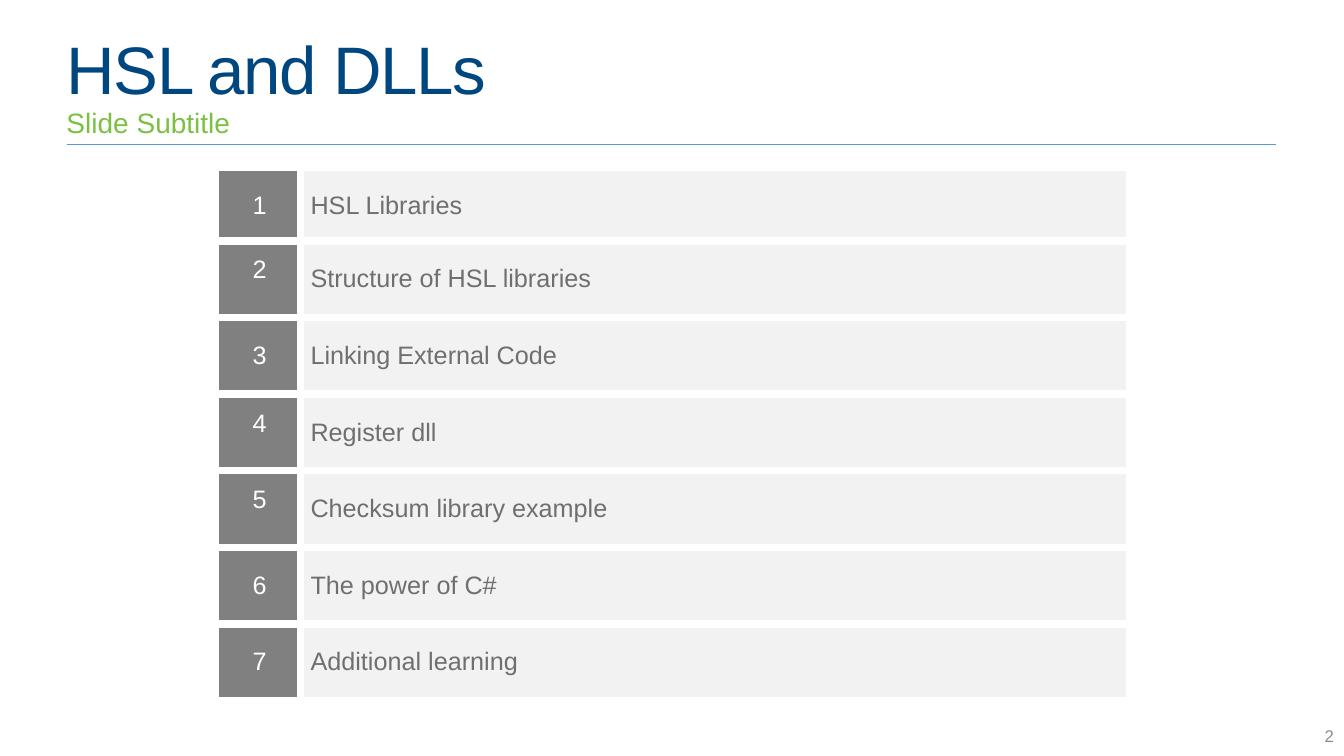
from lxml import etree
from pptx import Presentation
from pptx.dml.color import RGBColor
from pptx.enum import shapes, text
from pptx.oxml import ns
from pptx.util import Inches, Pt

COLORS = {"title": "00467F", "subtitle": "7AC142", "rule": "5B9BD5", "page": "8C8C8C",
          "number_fill": "808080", "topic_fill": "F2F2F2", "number": "FFFFFF",
          "topic": "6F706E", "border": "FFFFFF"}
TOPICS = ["HSL Libraries", "Structure of HSL libraries", "Linking External Code",
          "Register dll", "Checksum library example", "The power of C#",
          "Additional learning"]
RAISED_NUMBERS = {2, 4, 5}
LEFT = 0.66
COLUMNS = (0.81, 8.19)
FIRST_ROW, ROW = 0.7, 0.76
THICK, THIN = 6, 1


def color(name):
    return RGBColor.from_string(COLORS[name])


def style(p, size, name, align=text.PP_ALIGN.LEFT):
    p.alignment = align
    p.font.name = "Arial"
    p.font.size = Pt(size)
    p.font.color.rgb = color(name)


def add_text(slide, box, words, size, name, anchor=text.MSO_ANCHOR.MIDDLE,
             align=text.PP_ALIGN.LEFT, inset=0, line_spacing=None):
    tf = slide.shapes.add_textbox(*map(Inches, box)).text_frame
    tf.word_wrap = True
    tf.vertical_anchor = anchor
    tf.margin_left = Inches(inset)
    p = tf.paragraphs[0]
    p.text = words
    p.line_spacing = line_spacing
    style(p, size, name, align)
    return p


def add_rule(slide, y, width):
    line = slide.shapes.add_connector(shapes.MSO_CONNECTOR.STRAIGHT, Inches(LEFT),
                                      Inches(y), Inches(LEFT + width), Inches(y))
    line.line.color.rgb = color("rule")
    line.line.width = Pt(0.5)
    etree.SubElement(line._element.spPr, ns.qn("a:effectLst"))


def set_borders(cell, **widths):
    """Draw borders, keyed L, R, T, B in schema order, ahead of the cell's fill."""
    tcPr = cell._tc.get_or_add_tcPr()
    for i, (side, width) in enumerate(widths.items()):
        ln = etree.Element(ns.qn(f"a:ln{side}"), w=str(Pt(width)))
        fill = etree.SubElement(ln, ns.qn("a:solidFill"))
        etree.SubElement(fill, ns.qn("a:srgbClr"), val=COLORS["border"])
        tcPr.insert(i, ln)


def fill_cell(cell, words, kind, align):
    cell.text = words
    cell.vertical_anchor = text.MSO_ANCHOR.MIDDLE
    cell.fill.solid()
    cell.fill.fore_color.rgb = color(f"{kind}_fill")
    style(cell.text_frame.paragraphs[0], 18, kind, align)


def add_agenda(slide, left, top):
    height = FIRST_ROW + ROW * (len(TOPICS) - 1)
    table = slide.shapes.add_table(len(TOPICS), len(COLUMNS), Inches(left), Inches(top),
                                   Inches(sum(COLUMNS)), Inches(height)).table
    table.first_row = table.horz_banding = False
    for column, width in zip(table.columns, COLUMNS):
        column.width = Inches(width)
    for i, topic in enumerate(TOPICS):
        table.rows[i].height = Inches(ROW if i else FIRST_ROW)
        number_cell, topic_cell = table.cell(i, 0), table.cell(i, 1)
        fill_cell(number_cell, str(i + 1), "number", text.PP_ALIGN.CENTER)
        fill_cell(topic_cell, topic, "topic", text.PP_ALIGN.LEFT)
        if i + 1 in RAISED_NUMBERS:
            number_cell.margin_bottom = Inches(0.23)
        above = {"T": THICK} if i else {}
        set_borders(number_cell, L=THIN, R=THICK, **above, B=THICK)
        set_borders(topic_cell, L=THICK, R=THIN, **above, B=THICK)


def main():
    prs = Presentation()
    prs.slide_width, prs.slide_height = Inches(13.33), Inches(7.5)
    slide = prs.slides.add_slide(prs.slide_layouts[6])
    add_rule(slide, 1.43, 12)
    title = add_text(slide, (LEFT, 0, 11.5, 1.45), "HSL and DLLs", 48, "title",
                     line_spacing=0.9)
    title.runs[0].font._element.set("spc", "-100")
    add_text(slide, (10.33, 7.1, 3, 0.4), "2", 12, "page",
             align=text.PP_ALIGN.RIGHT, inset=0.1)
    add_text(slide, (LEFT, 1.04, 12, 0.4), "Slide Subtitle", 20, "subtitle",
             anchor=text.MSO_ANCHOR.TOP, line_spacing=0.9)
    add_agenda(slide, 2.17, 1.69)
    prs.save("out.pptx")


if __name__ == "__main__":
    main()
